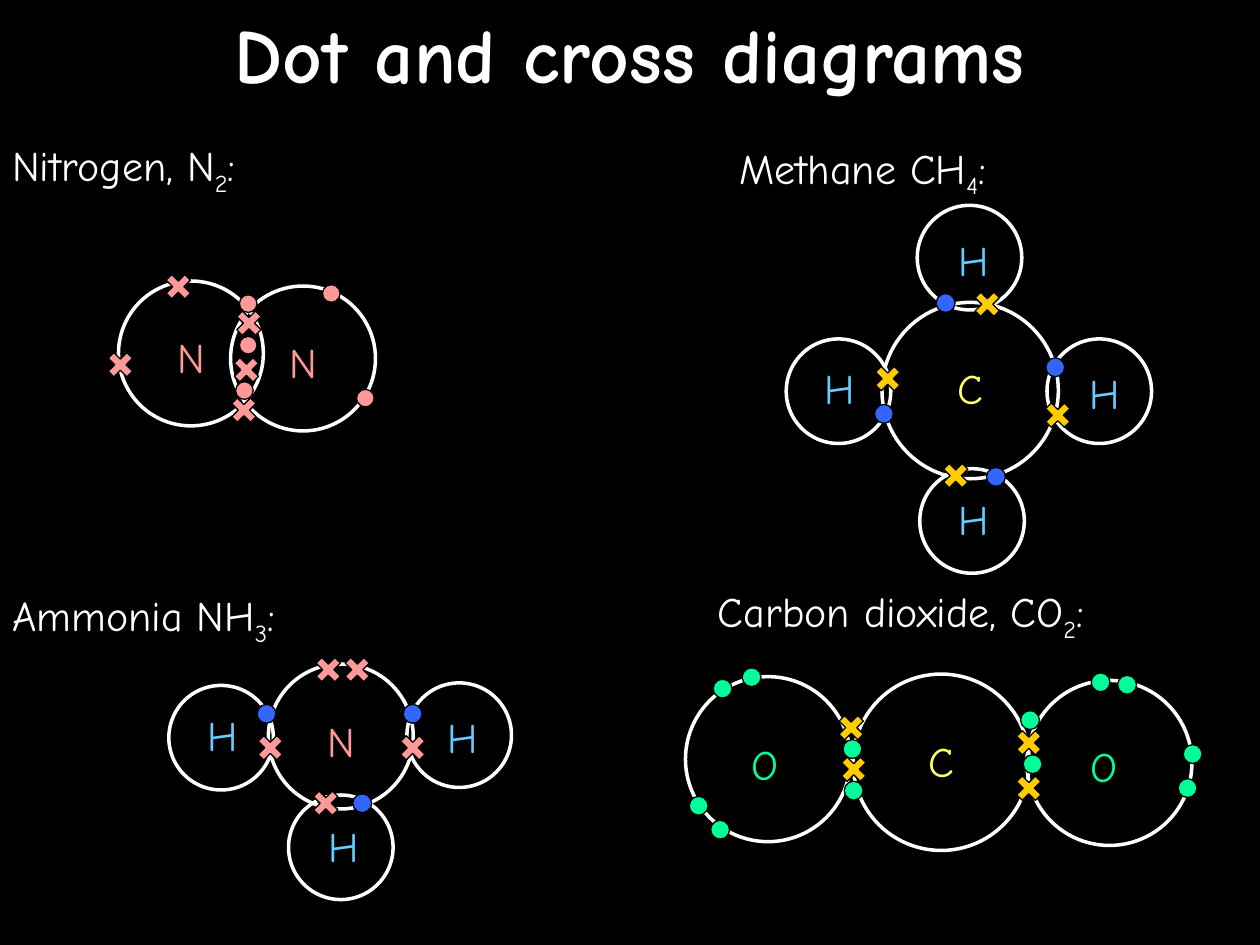
from pptx import Presentation
from pptx.dml.color import RGBColor
from pptx.enum.shapes import MSO_SHAPE
from pptx.enum.text import MSO_ANCHOR, PP_ALIGN
from pptx.util import Inches, Pt

CIRCLE = MSO_SHAPE.OVAL
PLUS = MSO_SHAPE.CROSS
CENTER = PP_ALIGN.CENTER
MIDDLE = MSO_ANCHOR.MIDDLE

FONT = "Comic Neue"
WHITE, BLACK = "FFFFFF", "000000"
BLUE, PINK, GOLD, GREEN = "3366FF", "FF9999", "FFCC00", "00FF99"

# Symbol: (label width, colour)
ATOMS = {
    "H": (0.65, "66CCFF"),
    "N": (0.58, PINK),
    "C": (0.52, "FFFF66"),
    "O": (0.65, GREEN),
}
LABEL_HEIGHT = 0.5
HEADING_HEIGHT = 0.56
CROSS_SIZE = 0.21

TITLE = "Dot and cross diagrams"

# heading: name, subscript, left, top, width
# shells: left, top, diameter
# labels: symbol, left, top
# electrons: kind, colour, size, list of (left, top)
MOLECULES = [
    {
        "heading": ("Nitrogen, N", "2", 0, 1.06, 3.27),
        "shells": [(1.83, 2.27, 1.15), (0.94, 2.23, 1.15)],
        "labels": [("N", 1.23, 2.58), ("N", 2.12, 2.62)],
        "electrons": [
            (PLUS, PINK, CROSS_SIZE, [(1.31, 2.17), (0.85, 2.79), (1.85, 2.83),
                                      (1.87, 2.46), (1.83, 3.15)]),
            (CIRCLE, PINK, 0.14, [(1.9, 2.34), (2.56, 2.26), (2.83, 3.09),
                                  (1.87, 3.03), (1.9, 2.67)]),
        ],
    },
    {
        "heading": ("Carbon dioxide, CO", "2", 5.6, 4.6, 3.96),
        "shells": [(6.77, 5.35, 1.4), (5.44, 5.37, 1.31), (8.15, 5.4, 1.31)],
        "labels": [("O", 5.75, 5.81), ("C", 7.21, 5.79), ("O", 8.44, 5.83)],
        "electrons": [
            (CIRCLE, GREEN, 0.15, [(5.89, 5.3), (5.66, 5.39), (5.64, 6.51),
                                   (5.47, 6.32), (6.69, 5.87), (6.7, 6.2)]),
            (PLUS, GOLD, CROSS_SIZE, [(8.06, 6.15), (8.06, 5.79), (6.65, 5.67),
                                      (6.67, 6)]),
            (CIRCLE, GREEN, 0.15, [(8.66, 5.34), (8.87, 5.36), (8.1, 5.64),
                                   (8.12, 5.99), (9.39, 5.91), (9.35, 6.18)]),
        ],
    },
    {
        "heading": ("Ammonia NH", "3", 0, 4.63, 3.6),
        "shells": [(2.13, 5.27, 1.15), (1.34, 5.44, 0.83), (3.23, 5.42, 0.83),
                   (2.29, 6.31, 0.83)],
        "labels": [("H", 1.44, 5.58), ("H", 3.35, 5.6), ("N", 2.42, 5.63),
                   ("H", 2.4, 6.46)],
        "electrons": [
            (CIRCLE, BLUE, 0.15, [(2.04, 5.59), (3.2, 5.59), (2.8, 6.3)]),
            (PLUS, PINK, CROSS_SIZE, [(2.5, 5.21), (2.48, 6.27), (2.04, 5.83),
                                      (3.17, 5.83), (2.73, 5.21)]),
        ],
    },
    {
        "heading": ("Methane CH", "4", 5.77, 1.08, 3.92),
        "shells": [(7, 2.4, 1.4), (8.31, 2.69, 0.83), (6.24, 2.69, 0.83),
                   (7.3, 3.72, 0.83), (7.28, 1.63, 0.83)],
        "labels": [("H", 8.44, 2.87), ("H", 6.34, 2.83), ("H", 7.4, 3.87),
                   ("H", 7.4, 1.81), ("C", 7.44, 2.83)],
        "electrons": [
            (CIRCLE, BLUE, 0.15, [(8.3, 2.84), (6.94, 3.21), (7.83, 3.71),
                                  (7.43, 2.33)]),
            (PLUS, GOLD, CROSS_SIZE, [(8.29, 3.19), (7.48, 3.67), (7.73, 2.31),
                                      (6.94, 2.9)]),
        ],
    },
]


def rgb(value):
    return RGBColor.from_string(value)


def set_font(font, size, color, bold=False):
    font.name = FONT
    font.size = Pt(size)
    font.bold = bold
    font.color.rgb = rgb(color)


def add_text(shapes, left, top, width, height, color):
    """Add an empty text box and return its first paragraph."""
    box = shapes.add_textbox(Inches(left), Inches(top), Inches(width), Inches(height))
    box.text_frame.word_wrap = True
    paragraph = box.text_frame.paragraphs[0]
    set_font(paragraph.font, 24, color)
    return paragraph


def add_heading(shapes, name, subscript, left, top, width):
    paragraph = add_text(shapes, left, top, width, HEADING_HEIGHT, WHITE)
    for text in (name, subscript, ":"):
        run = paragraph.add_run()
        run.text = text
        if text == subscript:
            run.font._element.set("baseline", "-25000")


def add_mark(shapes, kind, left, top, size, line_color, line_width, fill=None):
    """Add a shell (no fill) or an electron (filled)."""
    shape = shapes.add_shape(kind, Inches(left), Inches(top), Inches(size), Inches(size))
    shape.shadow.inherit = False
    shape.line.color.rgb = rgb(line_color)
    shape.line.width = Pt(line_width)
    if fill:
        shape.fill.solid()
        shape.fill.fore_color.rgb = rgb(fill)
    else:
        shape.fill.background()
    if kind == PLUS:
        shape.adjustments[0] = 0.35
        shape.rotation = 135


def add_molecule(shapes, molecule):
    for left, top, diameter in molecule["shells"]:
        add_mark(shapes, CIRCLE, left, top, diameter, WHITE, 2)
    for symbol, left, top in molecule["labels"]:
        width, color = ATOMS[symbol]
        paragraph = add_text(shapes, left, top, width, LABEL_HEIGHT, color)
        paragraph.text = symbol
        paragraph.alignment = CENTER
    for kind, color, size, places in molecule["electrons"]:
        for left, top in places:
            add_mark(shapes, kind, left, top, size, BLACK, 0.75, color)


def main():
    presentation = Presentation()
    presentation.slide_width = Inches(10)
    presentation.slide_height = Inches(7.5)
    slide = presentation.slides.add_slide(presentation.slide_layouts[5])
    slide.background.fill.solid()
    slide.background.fill.fore_color.rgb = rgb(BLACK)

    title = slide.shapes.title
    title.left, title.top = Inches(0), Inches(0)
    title.width, title.height = Inches(10), Inches(0.83)
    title.text_frame.text = TITLE
    title.text_frame.vertical_anchor = MIDDLE
    paragraph = title.text_frame.paragraphs[0]
    paragraph.alignment = CENTER
    set_font(paragraph.font, 44, WHITE, bold=True)

    for molecule in MOLECULES:
        add_heading(slide.shapes, *molecule["heading"])
        add_molecule(slide.shapes.add_group_shape().shapes, molecule)

    presentation.save("out.pptx")


if __name__ == "__main__":
    main()
